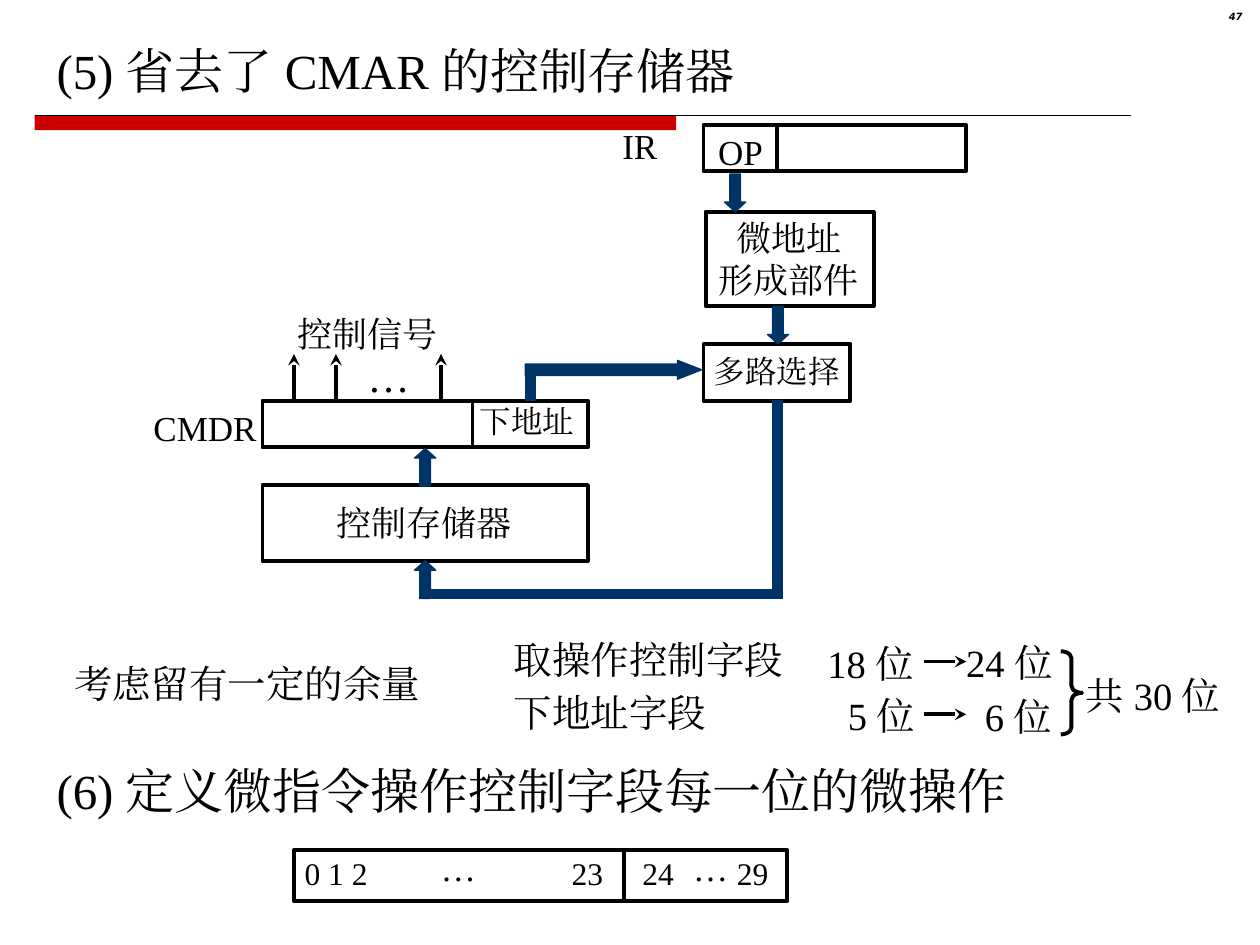
from lxml.etree import SubElement
from pptx import Presentation
from pptx.dml.color import RGBColor
from pptx.enum.shapes import MSO_CONNECTOR as Connector, MSO_SHAPE as Shape
from pptx.enum.text import MSO_ANCHOR as Anchor, PP_ALIGN as Align
from pptx.oxml.ns import qn
from pptx.util import Pt

BLACK = RGBColor(0, 0, 0)
RED = RGBColor(0xCC, 0, 0)
NAVY = RGBColor(0, 0x33, 0x66)
SERIF = "Times New Roman"
SANS = "DejaVu Sans"


def add_run(paragraph, text, size, font=SERIF):
    run = paragraph.add_run()
    run.text = text
    run.font.name = font
    run.font.size = Pt(size)
    run.font.color.rgb = BLACK
    SubElement(run.font._element, qn("a:ea")).set("typeface", font)
    return run


def add_label(slide, lines, left, top, width, height, size, align=Align.LEFT, top_inset=3.6):
    box = slide.shapes.add_textbox(Pt(left), Pt(top), Pt(width), Pt(height))
    frame = box.text_frame
    frame.word_wrap = True
    frame.margin_top = Pt(top_inset)
    if align == Align.LEFT:
        frame.margin_right = 0
    for index, line in enumerate(lines.split("\n")):
        paragraph = frame.paragraphs[0] if index == 0 else frame.add_paragraph()
        paragraph.alignment = align
        add_run(paragraph, line, size)
    return box


def add_outline(slide, left, top, width, height, kind=Shape.RECTANGLE):
    shape = slide.shapes.add_shape(kind, Pt(left), Pt(top), Pt(width), Pt(height))
    shape.shadow.inherit = False
    shape.fill.background()
    shape.line.color.rgb = BLACK
    shape.line.width = Pt(2.25)
    return shape


def add_solid(slide, kind, left, top, width, height, color=NAVY, adjustments=()):
    shape = slide.shapes.add_shape(kind, Pt(left), Pt(top), Pt(width), Pt(height))
    shape.shadow.inherit = False
    shape.fill.solid()
    shape.fill.fore_color.rgb = color
    shape.line.color.rgb = color
    shape.line.width = Pt(0.75)
    for index, value in enumerate(adjustments):
        shape.adjustments[index] = value
    return shape


def add_line(slide, x1, y1, x2, y2, width=2.25, arrow=False):
    line = slide.shapes.add_connector(Connector.STRAIGHT, Pt(x1), Pt(y1), Pt(x2), Pt(y2))
    line.line.color.rgb = BLACK
    line.line.width = Pt(width)
    if arrow:
        SubElement(line.line._get_or_add_ln(), qn("a:tailEnd")).set("type", "stealth")
    SubElement(line._element.spPr, qn("a:effectLst"))


def add_header(slide):
    bar = add_solid(slide, Shape.RECTANGLE, 19.8, 65.9, 366.6, 8.5, RED)
    bar.line.fill.background()
    add_line(slide, 19.8, 65.9, 646.4, 65.9, width=0.75)
    number = add_label(slide, "", 674.6, 3.6, 42.5, 16.5, 5.7, Align.RIGHT)
    paragraph = number.text_frame.paragraphs[0]
    paragraph.line_spacing = 0.8
    paragraph.runs[0].text = "47"
    font = paragraph.runs[0].font
    font.name = SANS
    font.bold = font.italic = True
    add_label(slide, "(5) 省去了 CMAR 的控制存储器", 25.2, 19.4, 478.8, 41, 28)


def add_registers(slide):
    add_outline(slide, 402, 71.3, 150, 26.6)
    add_line(slide, 444, 71.3, 444, 97.9)
    add_outline(slide, 403.2, 121, 96, 54)
    add_outline(slide, 150, 229, 186, 26.6)
    add_line(slide, 270, 229, 270, 256)
    add_outline(slide, 150, 277.2, 186, 43.2)

    selector = add_outline(slide, 402, 196.6, 84, 32.4)
    frame = selector.text_frame
    frame.word_wrap = False
    frame.vertical_anchor = Anchor.MIDDLE
    frame.margin_top = Pt(1.4)
    frame.paragraphs[0].alignment = Align.CENTER
    add_run(frame.paragraphs[0], "多路选择", 18)

    for text, left, top, width in (
        ("OP", 403.2, 71.3, 39.6),
        ("IR", 348.5, 67.7, 34.6),
        ("CMDR", 80.6, 229, 73.4),
        ("控制信号", 162.7, 175, 94.3),
        ("控制存储器", 185, 283, 114.5),
    ):
        add_label(slide, text, left, top, width, 31.7, 20)
    add_label(slide, "微地址\n形成部件", 402.5, 120.2, 96.5, 55.4, 20, Align.CENTER)
    add_label(slide, "下地址", 267.1, 228.2, 68.4, 26.6, 18, top_inset=1.4)
    add_label(slide, "…", 203, 196.6, 38.2, 36, 24)


def add_data_paths(slide):
    for x in (168, 192, 252):
        add_line(slide, x, 229, x, 202.3, arrow=True)
    for kind, left, top in (
        (Shape.UP_ARROW, 236.9, 256.3),
        (Shape.UP_ARROW, 236.9, 320.4),
        (Shape.DOWN_ARROW, 438.5, 175),
        (Shape.DOWN_ARROW, 414, 99.4),
    ):
        add_solid(slide, kind, left, top, 12.2, 21.6, adjustments=(0.5, 0.45))
    add_solid(slide, Shape.RIGHT_ARROW, 300.2, 205.9, 100.8, 10.8, adjustments=(0.61, 1.28))
    for left, top, width, height in (
        (239.8, 337, 203.8, 5),
        (441.4, 229, 5.8, 113),
        (300.2, 209.5, 5.8, 19.4),
    ):
        add_solid(slide, Shape.RECTANGLE, left, top, width, height)


def add_field_widths(slide):
    for text, left, top, width in (
        ("考虑留有一定的余量", 35.3, 373.7, 264),
        ("取操作控制字段", 286.6, 360, 168),
        ("下地址字段", 286.6, 390.2, 124),
        ("18 位", 465.8, 362.2, 69),
        ("5 位", 477.4, 391.7, 57.6),
        ("24 位", 545, 361.4, 69),
        ("6 位", 555.8, 392.4, 57.6),
        ("共 30 位", 613.4, 380.2, 101),
    ):
        add_label(slide, text, left, top, width, 33.8, 22)
    for y in (378, 408.2):
        add_line(slide, 527.8, y, 552.2, y, arrow=True)
    brace = add_outline(slide, 606.2, 372.2, 12.2, 47.5, Shape.RIGHT_BRACE)
    brace.adjustments[0] = 0.33


def add_bit_layout(slide):
    add_label(slide, "(6) 定义微指令操作控制字段每一位的微操作", 25.2, 431.3, 610.6, 41, 28)
    add_outline(slide, 167.8, 486, 282.2, 28.8)
    add_line(slide, 356.4, 486, 356.4, 516.2)
    for text, left in (("0 1 2", 167), ("23", 319.6), ("24", 360), ("29", 414)):
        add_label(slide, text, left, 484.6, 50, 28.8, 18)
    for left in (244.8, 389):
        add_label(slide, "…", left, 480.2, 34.6, 31.7, 20)


def main():
    presentation = Presentation()
    presentation.slide_width, presentation.slide_height = Pt(720), Pt(540)
    slide = presentation.slides.add_slide(presentation.slide_layouts[6])
    add_header(slide)
    add_registers(slide)
    add_data_paths(slide)
    add_field_widths(slide)
    add_bit_layout(slide)
    presentation.save("out.pptx")


if __name__ == "__main__":
    main()
